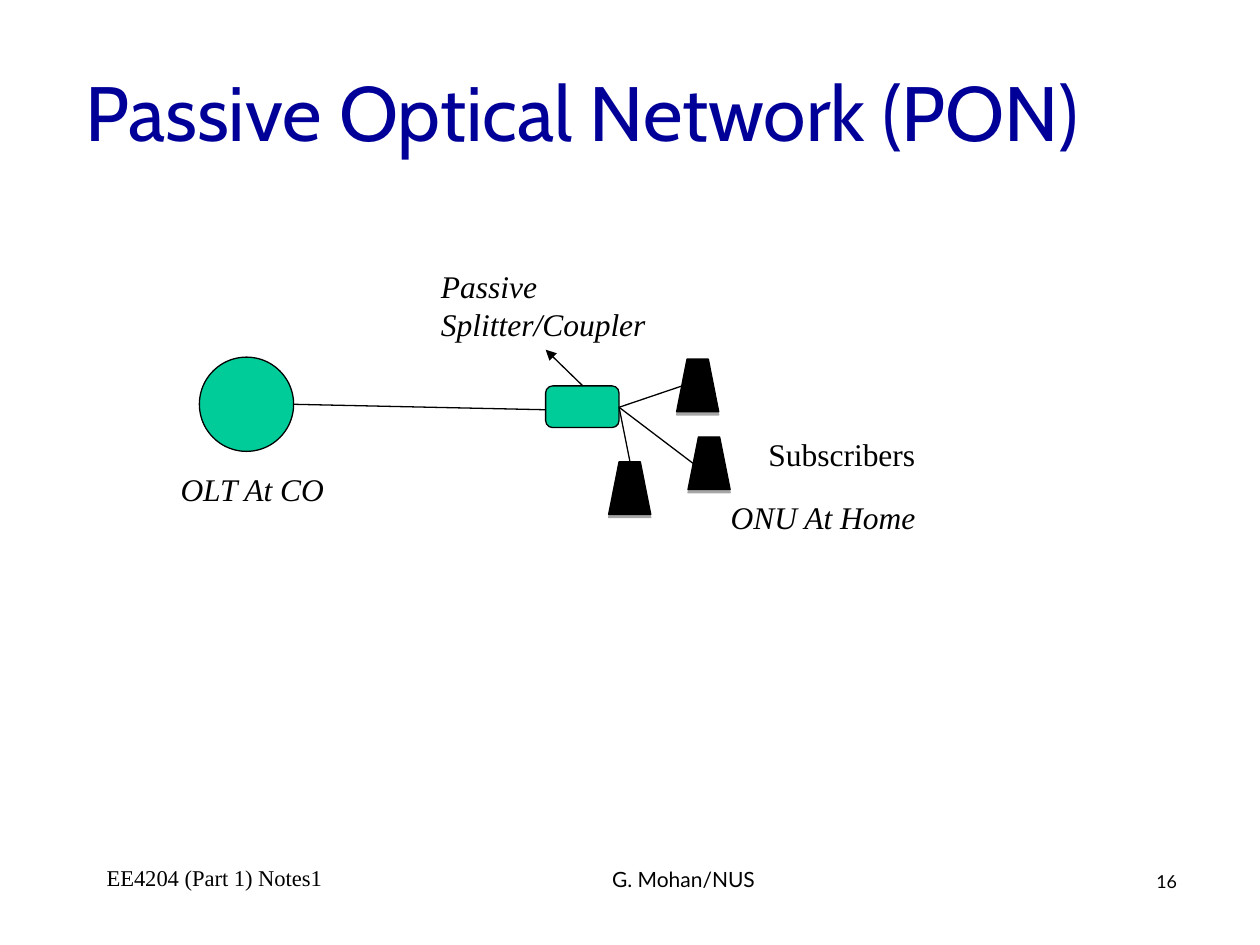
from lxml import etree
from pptx import Presentation
from pptx.dml.color import RGBColor
from pptx.enum.shapes import MSO_CONNECTOR, MSO_SHAPE
from pptx.enum.text import MSO_ANCHOR as ANCHOR, PP_ALIGN as ALIGN
from pptx.oxml import parse_xml
from pptx.oxml.ns import nsdecls, qn
from pptx.util import Cm, Pt

NAVY = RGBColor(0x00, 0x00, 0x99)
BLACK = RGBColor(0x00, 0x00, 0x00)
GREEN = RGBColor(0x00, 0xCC, 0x99)
SERIF = "Times New Roman"
SHADOW = (
    f'<a:effectLst {nsdecls("a")}>'
    '<a:outerShdw dist="22860" dir="5400000" algn="ctr" rotWithShape="0">'
    '<a:srgbClr val="000000"><a:alpha val="35000"/></a:srgbClr>'
    '</a:outerShdw></a:effectLst>'
)

prs = Presentation()
prs.slide_width, prs.slide_height = Cm(25.4), Cm(19.05)
s = prs.slides.add_slide(prs.slide_layouts[6])


def add_text(text, x, y, w, h, size=18, font=SERIF, color=BLACK, italic=False,
             align=ALIGN.LEFT, anchor=ANCHOR.TOP, spacing=1.0):
    tf = s.shapes.add_textbox(Cm(x), Cm(y), Cm(w), Cm(h)).text_frame
    tf.word_wrap = True
    tf.vertical_anchor = anchor
    tf.text = text
    for p in tf.paragraphs:
        p.alignment, p.line_spacing = align, spacing
        f = p.runs[0].font
        f.name, f.size, f.italic = font, Pt(size), italic
        f.color.rgb = color


def paint(sp, fill):
    sp.shadow.inherit = False
    sp.fill.solid()
    sp.fill.fore_color.rgb = fill
    sp.line.color.rgb = BLACK
    sp.line.width = Pt(0.75)


# Title and footer
add_text("Passive Optical Network (PON)", 1.47, 0.64, 21.59, 3.18, size=44,
         font="Cabin", color=NAVY, anchor=ANCHOR.MIDDLE)
add_text("EE4204 (Part 1) Notes1", 1.9, 17.35, 5.28, 1.27, size=12.9, spacing=0.9)
add_text("G. Mohan/NUS", 11.61, 17.35, 3.86, 1.4, size=12, font="Lato",
         align=ALIGN.RIGHT)
add_text("16", 23.06, 17.48, 1.88, 0.76, size=10.2, font="Lato", spacing=0.9)

# Line terminal and splitter
olt = s.shapes.add_shape(MSO_SHAPE.OVAL, Cm(4.02), Cm(7.2), Cm(1.9), Cm(1.9))
splitter = s.shapes.add_shape(MSO_SHAPE.ROUNDED_RECTANGLE,
                              Cm(11), Cm(7.78), Cm(1.48), Cm(0.84))
for sp in (olt, splitter):
    paint(sp, GREEN)

# Subscriber units: trapezoids with a soft drop shadow
UNIT_W, UNIT_H, SLOPE = 0.85, 1.06, 0.21
for x, y in ((13.64, 7.24), (13.87, 8.81), (12.27, 9.31)):
    fb = s.shapes.build_freeform(Cm(x), Cm(y + UNIT_H))
    fb.add_line_segments([(Cm(x + SLOPE), Cm(y)),
                          (Cm(x + UNIT_W - SLOPE), Cm(y)),
                          (Cm(x + UNIT_W), Cm(y + UNIT_H))], close=True)
    unit = fb.convert_to_shape()
    paint(unit, BLACK)
    effects = unit.element.spPr.find(qn("a:effectLst"))
    effects.getparent().replace(effects, parse_xml(SHADOW))

# Fibres and the pointer to the splitter label
PORT = (12.48, 8.21)
for start, end, arrow in (
    ((5.92, 8.15), (11, 8.26), False),
    ((11.75, 7.78), (11, 7.05), True),
    (PORT, (13.75, 7.78), False),
    (PORT, (13.97, 9.34), False),
    (PORT, (12.7, 9.31), False),
):
    line = s.shapes.add_connector(MSO_CONNECTOR.STRAIGHT,
                                  *(Cm(v) for v in start + end))
    line.line.color.rgb = BLACK
    line.line.width = Pt(0.75)
    if arrow:
        etree.SubElement(line.line._get_or_add_ln(), qn("a:tailEnd"), type="triangle")
    etree.SubElement(line.element.spPr, qn("a:effectLst"))

# Labels
add_text("OLT At CO", 3.39, 9.35, 3.81, 1.02, italic=True)
add_text("ONU At Home", 14.48, 9.91, 4.65, 1.02, italic=True)
add_text("Passive\nSplitter/Coupler", 8.64, 5.26, 4.75, 1.78, italic=True)
add_text("Subscribers", 15.24, 8.64, 4.45, 1.02)

prs.save("out.pptx")
